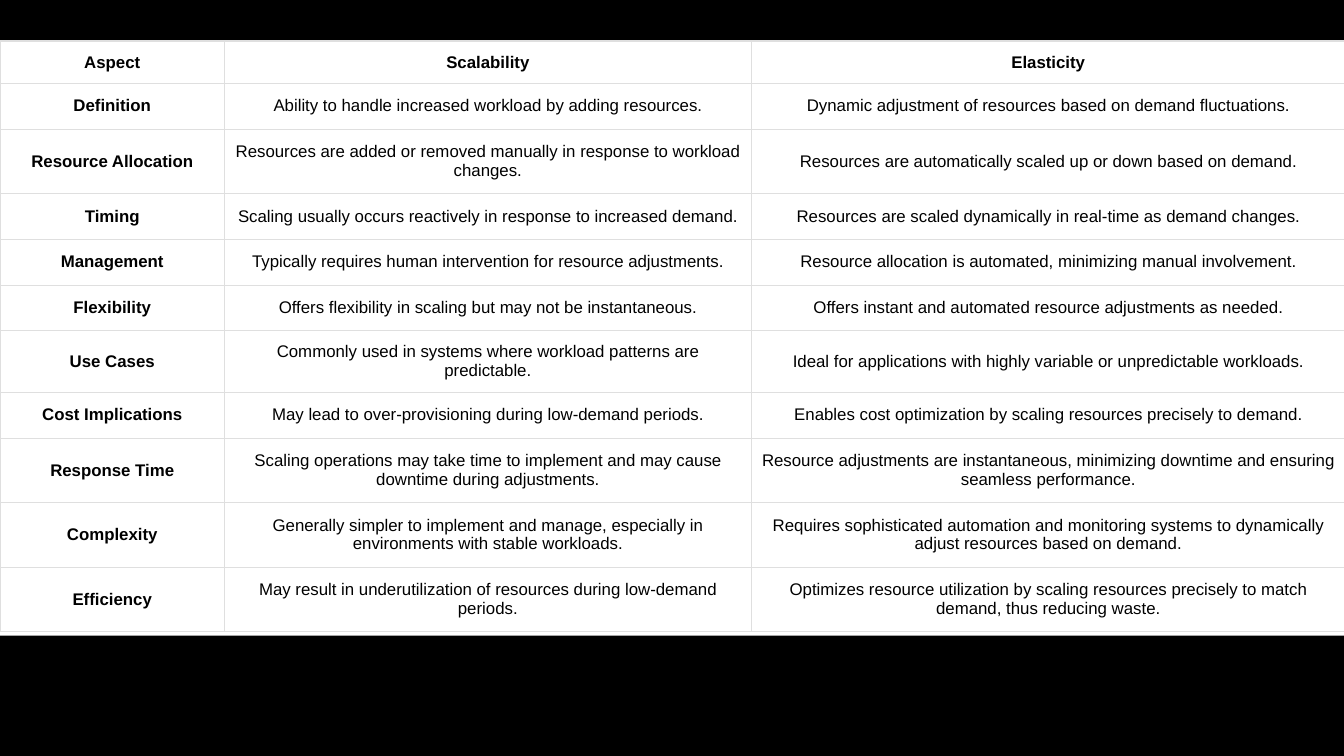
"""Build a slide with a table comparing scalability and elasticity."""
from typing import NamedTuple

from lxml import etree
from pptx import Presentation
from pptx.dml.color import RGBColor
from pptx.enum.shapes import MSO_SHAPE
from pptx.enum.text import MSO_ANCHOR, PP_ALIGN
from pptx.oxml.ns import qn
from pptx.util import Inches, Pt

RECTANGLE = MSO_SHAPE.RECTANGLE
CENTER = PP_ALIGN.CENTER
MIDDLE = MSO_ANCHOR.MIDDLE
BLACK = "000000"
WHITE = "FFFFFF"
GRID = "DFDFDF"
GRID_WIDTH = Pt(0.23)
SLIDE_WIDTH = Inches(10)
SLIDE_HEIGHT = SLIDE_WIDTH * 9 // 16
COLUMN_WIDTHS = (1.67, 3.92, 4.42)
HEADER, SINGLE, DOUBLE = 0.31, 0.34, 0.48


class Bar(NamedTuple):
    """A full-width band across the slide."""
    top: float
    height: float


class Comparison(NamedTuple):
    """One table row."""
    height: float
    aspect: str
    scalability: str
    elasticity: str


BARS = (Bar(0, 0.3), Bar(4.73, 0.9))
ROWS = (
    Comparison(HEADER, "Aspect", "Scalability", "Elasticity"),
    Comparison(SINGLE, "Definition",
               "Ability to handle increased workload by adding resources.",
               "Dynamic adjustment of resources based on demand fluctuations."),
    Comparison(DOUBLE, "Resource Allocation",
               "Resources are added or removed manually in response to workload changes.",
               "Resources are automatically scaled up or down based on demand."),
    Comparison(SINGLE, "Timing",
               "Scaling usually occurs reactively in response to increased demand.",
               "Resources are scaled dynamically in real-time as demand changes."),
    Comparison(SINGLE, "Management",
               "Typically requires human intervention for resource adjustments.",
               "Resource allocation is automated, minimizing manual involvement."),
    Comparison(SINGLE, "Flexibility",
               "Offers flexibility in scaling but may not be instantaneous.",
               "Offers instant and automated resource adjustments as needed."),
    Comparison(SINGLE, "Use Cases",
               "Commonly used in systems where workload patterns are predictable.",
               "Ideal for applications with highly variable or unpredictable workloads."),
    Comparison(SINGLE, "Cost Implications",
               "May lead to over-provisioning during low-demand periods.",
               "Enables cost optimization by scaling resources precisely to demand."),
    Comparison(DOUBLE, "Response Time",
               "Scaling operations may take time to implement and may cause downtime during adjustments.",
               "Resource adjustments are instantaneous, minimizing downtime and ensuring seamless performance."),
    Comparison(DOUBLE, "Complexity",
               "Generally simpler to implement and manage, especially in environments with stable workloads.",
               "Requires sophisticated automation and monitoring systems to dynamically adjust resources based on demand."),
    Comparison(DOUBLE, "Efficiency",
               "May result in underutilization of resources during low-demand periods.",
               "Optimizes resource utilization by scaling resources precisely to match demand, thus reducing waste."),
)


def paint(target, color: str) -> None:
    """Give a fill a solid hex colour."""
    target.solid()
    target.fore_color.rgb = RGBColor.from_string(color)


def draw_bar(page, bar: Bar) -> None:
    """Draw one black band."""
    shape = page.shapes.add_shape(
        RECTANGLE, 0, Inches(bar.top), SLIDE_WIDTH, Inches(bar.height))
    shape.shadow.inherit = False
    paint(shape.fill, BLACK)
    shape.line.fill.background()


def set_borders(cell) -> None:
    """Outline all four sides of a cell."""
    properties = cell._tc.get_or_add_tcPr()
    for side in ("a:lnL", "a:lnR", "a:lnT", "a:lnB"):
        line = etree.SubElement(properties, qn(side), w=str(GRID_WIDTH))
        solid = etree.SubElement(line, qn("a:solidFill"))
        etree.SubElement(solid, qn("a:srgbClr"), val=GRID)


def write(cell, text: str, *, bold: bool, side: float, edge: float) -> None:
    """Put centred text in a cell with the given margins."""
    cell.margin_left = cell.margin_right = Inches(side)
    cell.margin_top = cell.margin_bottom = Inches(edge)
    cell.vertical_anchor = MIDDLE
    para = cell.text_frame.paragraphs[0]
    para.alignment = CENTER
    para.space_after = Pt(7.5)
    span = para.add_run()
    span.text = text
    span.font.name = "Arial"
    span.font.size = Pt(9)
    span.font.bold = bold
    paint(span.font.fill, BLACK)


def draw_table(page, rows: tuple[Comparison, ...]) -> None:
    """Draw the comparison table."""
    frame = page.shapes.add_table(
        len(rows), len(COLUMN_WIDTHS), 0, Inches(0.31),
        Inches(sum(COLUMN_WIDTHS)), Inches(sum(row.height for row in rows)))
    table = frame.table
    table.first_row = table.horz_banding = False
    for column, width in zip(table.columns, COLUMN_WIDTHS):
        column.width = Inches(width)
    for row_index, row in enumerate(rows):
        table.rows[row_index].height = Inches(row.height)
        is_header = row_index == 0
        for column_index, text in enumerate(row[1:]):
            is_aspect = column_index == 0
            cell = table.cell(row_index, column_index)
            set_borders(cell)
            cell.fill.background()
            edge = 0.07 if is_header else 0.05 if is_aspect else 0.09
            write(cell, text, bold=is_header or is_aspect,
                  side=0.03 if is_aspect else 0.07, edge=edge)


def main() -> None:
    """Build and save the deck."""
    deck = Presentation()
    deck.slide_width, deck.slide_height = SLIDE_WIDTH, SLIDE_HEIGHT
    page = deck.slides.add_slide(deck.slide_layouts[6])
    paint(page.background.fill, WHITE)
    for bar in BARS:
        draw_bar(page, bar)
    draw_table(page, ROWS)
    deck.save("out.pptx")


if __name__ == "__main__":
    main()
